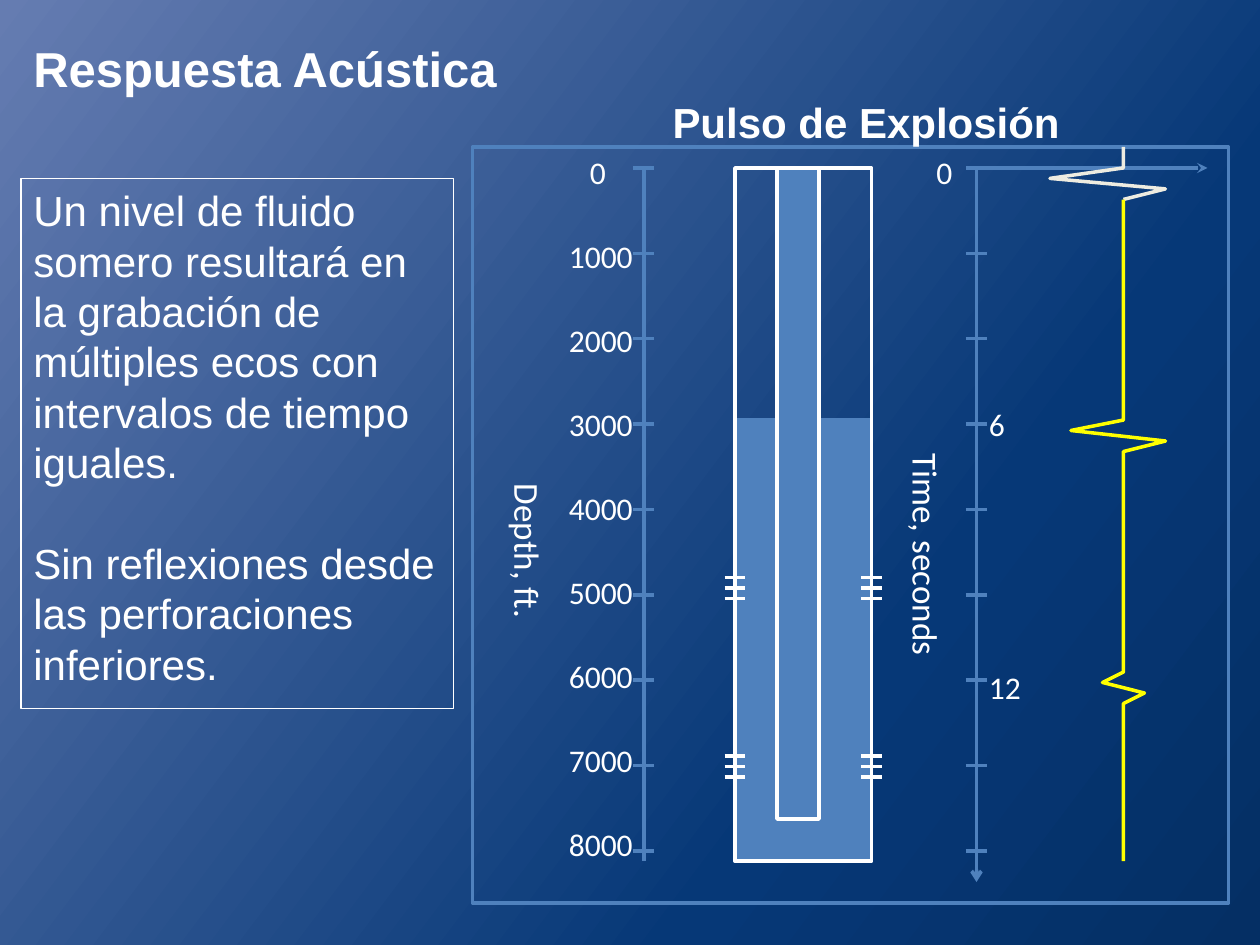
from copy import deepcopy

from pptx import Presentation
from pptx.dml.color import RGBColor
from pptx.enum.shapes import MSO_CONNECTOR, MSO_SHAPE
from pptx.enum.text import MSO_ANCHOR, MSO_AUTO_SIZE, PP_ALIGN
from pptx.oxml.ns import qn
from pptx.util import Inches, Pt

RECT = MSO_SHAPE.RECTANGLE
STRAIGHT = MSO_CONNECTOR.STRAIGHT
LEFT, CENTER = PP_ALIGN.LEFT, PP_ALIGN.CENTER
TOP, MIDDLE = MSO_ANCHOR.TOP, MSO_ANCHOR.MIDDLE
GROW = MSO_AUTO_SIZE.SHAPE_TO_FIT_TEXT

COLORS = {
    "white": "FFFFFF",
    "fluid": "4F81BD",
    "pulse": "EEECE1",
    "echo": "FFFF00",
    "bg_dark": "052F64",
    "bg_mid": "063877",
    "bg_light": "657CB1",
}
RGB = {name: RGBColor.from_string(value) for name, value in COLORS.items()}

FORMATS = {
    "title": {"name": "Arial", "size": Pt(28), "bold": True},
    "heading": {"name": "Arial", "size": Pt(24), "bold": True},
    "body": {"name": "Arial", "size": Pt(24), "bold": False},
    "axis": {"name": "Calibri", "size": Pt(20), "bold": False},
    "tick": {"name": "Calibri", "size": Pt(18), "bold": False},
}

prs = Presentation()
prs.slide_width, prs.slide_height = Inches(10), Inches(7.5)
slide = prs.slides.add_slide(prs.slide_layouts[6])
shapes = slide.shapes

# Grid of 120 columns by 90 rows; all lengths below are in its cells
CELL = prs.slide_width / 120


def grid(*cells):
    return [round(cell * CELL) for cell in cells]


def write(frame, paragraphs, style, align=LEFT, anchor=TOP, indent=0):
    frame.word_wrap = True
    frame.vertical_anchor = anchor
    for index, words in enumerate(paragraphs):
        paragraph = frame.paragraphs[0] if index == 0 else frame.add_paragraph()
        paragraph.alignment = align
        if indent:
            paragraph._p.get_or_add_pPr().set("marL", str(indent))
        run = paragraph.add_run()
        run.text = words
        run.font.color.rgb = RGB["white"]
        for attribute, value in FORMATS[style].items():
            setattr(run.font, attribute, value)


# Background gradient, dark at the lower right
backdrop = slide.background.fill
backdrop.gradient()
backdrop.gradient_angle = 143
stop_list = slide._element.find(".//" + qn("a:gsLst"))
stop_list.append(deepcopy(stop_list[0]))
gradient = [("bg_dark", 0), ("bg_mid", 0.3), ("bg_light", 1)]
for stop, (color, position) in zip(backdrop.gradient_stops, gradient):
    stop.color.rgb = RGB[color]
    stop.position = position

# Explanation box, fluid, diagram frame, casing and tubing
boxes = []
for cells, fill, outline, weight in [
    ((2, 17, 41.2, 50.5), None, "white", 0.75),
    ((70, 40, 13, 42), "fluid", "fluid", 2),
    ((45, 14, 72, 72), None, "fluid", 2),
    ((70, 16, 13, 66), None, "white", 2),
    ((74, 16, 4, 62), "fluid", "white", 2),
]:
    box = shapes.add_shape(RECT, *grid(*cells))
    box.shadow.inherit = False
    if fill:
        box.fill.solid()
        box.fill.fore_color.rgb = RGB[fill]
    else:
        box.fill.background()
    box.line.color.rgb = RGB[outline]
    box.line.width = Pt(weight)
    boxes.append(box)

explanation = boxes[0].text_frame
write(explanation, [
    "Un nivel de fluido somero resultará en la grabación de múltiples ecos "
    "con intervalos de tiempo iguales.",
    "Sin reflexiones desde las perforaciones inferiores.",
], "body")
for paragraph in explanation.paragraphs:
    paragraph.line_spacing = Pt(28.8)
explanation.paragraphs[1].space_before = Pt(28.8)

# Title and diagram heading
for words, cells, style, align in [
    ("Respuesta Acústica", (2, 2, 53.3, 9), "title", LEFT),
    ("Pulso de Explosión", (59, 9.1, 47, 5), "heading", CENTER),
]:
    heading = shapes.add_textbox(*grid(*cells))
    write(heading.text_frame, [words], style, align, MIDDLE)

# Depth and time axes, their ticks, and the perforations
DEPTH_X, TIME_X, AXIS_TOP, TICK_STEP = 61.33, 93, 16, 8.13
strokes = [
    (DEPTH_X, AXIS_TOP, DEPTH_X, 82, "fluid", None),
    (TIME_X, AXIS_TOP, TIME_X, 84, "fluid", "arrow"),
    (TIME_X, AXIS_TOP, 115, AXIS_TOP, "fluid", "stealth"),
]
for axis_x in (DEPTH_X, TIME_X):
    for index in range(9):
        y = AXIS_TOP + index * TICK_STEP
        strokes.append((axis_x - 1, y, axis_x + 1, y, "fluid", None))
for wall_x in (70, 83):
    for first_row in (55, 72):
        for y in range(first_row, first_row + 3):
            strokes.append((wall_x - 1, y, wall_x + 1, y, "white", None))

for x1, y1, x2, y2, color, arrowhead in strokes:
    stroke = shapes.add_connector(STRAIGHT, *grid(x1, y1, x2, y2))
    stroke.line.color.rgb = RGB[color]
    stroke.line.width = Pt(2)
    if arrowhead:
        line_xml = stroke.line._get_or_add_ln()
        tail = line_xml.makeelement(qn("a:tailEnd"), {"type": arrowhead})
        line_xml.append(tail)
    properties = stroke._element.spPr
    properties.append(properties.makeelement(qn("a:effectLst"), {}))

# Axis names and tick labels
labels = [
    ("Depth, ft.", (37, 50, 27, 4.8), "axis", 90),
    ("Time, seconds", (70.44, 51.6, 36, 4.8), "axis", 90),
    ("0", (49, 14, 10, 4.1), "tick", 0),
    ("0", (82, 14, 10, 4.1), "tick", 0),
    ("6", (87, 38, 11, 4.1), "tick", 0),
    ("12", (87, 63, 13, 4.1), "tick", 0),
]
for step in range(1, 9):
    labels.append((str(step * 1000), (47, 14 + 8 * step, 15, 4.1), "tick", 0))
for words, cells, style, rotation in labels:
    label = shapes.add_textbox(*grid(*cells))
    label.rotation = rotation
    write(label.text_frame, [words], style, indent=Inches(0.5))
    label.text_frame.auto_size = GROW

# Shot pulse and its echoes
for color, points in [
    ("pulse", [(106.8, 14.5), (106.8, 15.7), (100, 17), (110.7, 17.6), (107, 19)]),
    ("echo", [(107, 19), (107, 40), (102.1, 41), (111, 42), (107, 43),
              (107, 64), (105, 65), (109.3, 65.9), (107.2, 67), (107, 82)]),
]:
    builder = shapes.build_freeform(*points[0], scale=CELL)
    builder.add_line_segments(points[1:], close=False)
    trace = builder.convert_to_shape()
    trace.shadow.inherit = False
    trace.fill.background()
    trace.line.color.rgb = RGB[color]
    trace.line.width = Pt(2)

prs.save("out.pptx")
